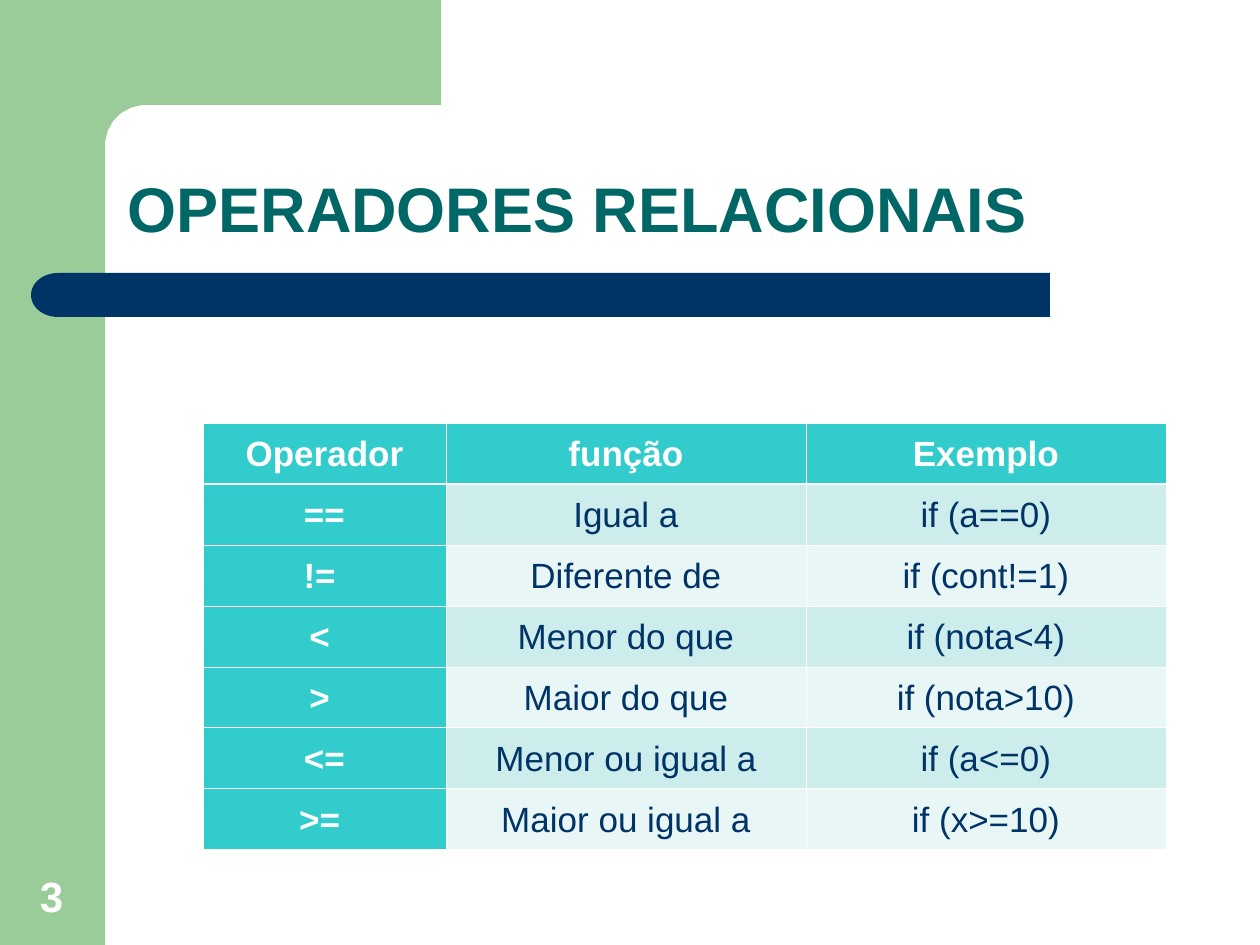
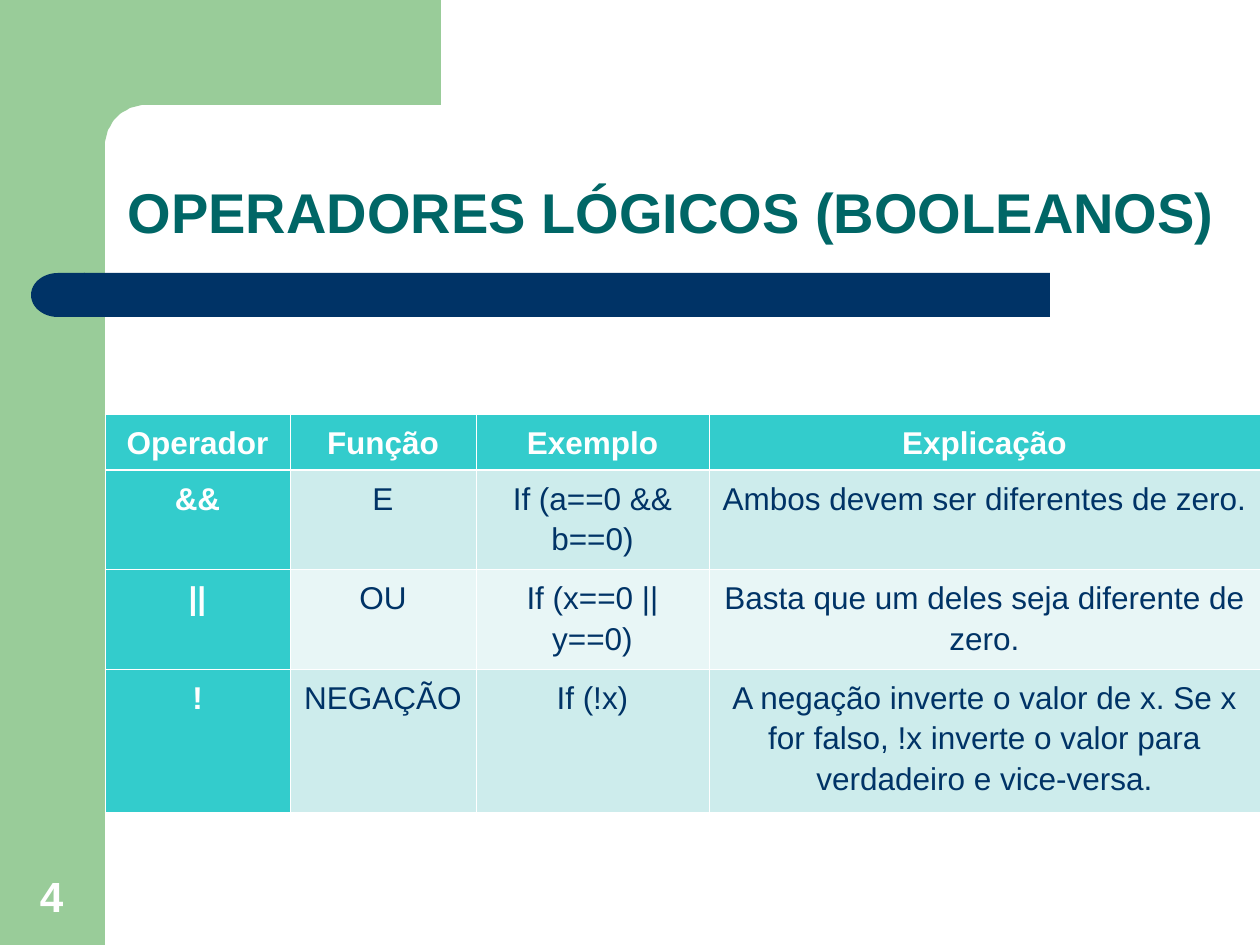
import math

import lxml.etree
import pptx
import pptx.dml.color
import pptx.enum.shapes
import pptx.enum.text
import pptx.oxml.ns
import pptx.util

PX = 914400 / 126
SHAPES = pptx.enum.shapes.MSO_SHAPE
ALIGN = pptx.enum.text.PP_ALIGN
ANCHOR = pptx.enum.text.MSO_ANCHOR

GREEN = pptx.dml.color.RGBColor(0x99, 0xCC, 0x99)
NAVY = pptx.dml.color.RGBColor(0x00, 0x33, 0x66)
TEAL = pptx.dml.color.RGBColor(0x00, 0x66, 0x66)
TURQUOISE = pptx.dml.color.RGBColor(0x33, 0xCC, 0xCC)
PALE_TURQUOISE = pptx.dml.color.RGBColor(0xCD, 0xEC, 0xEC)
FAINT_TURQUOISE = pptx.dml.color.RGBColor(0xE8, 0xF6, 0xF6)
WHITE = pptx.dml.color.RGBColor(0xFF, 0xFF, 0xFF)

FONT = "Arial"
THIN_BORDER, THICK_BORDER = 0.45, 1.47
SIDEBAR_BOX = (0, 0, 105, 945)
CORNER_BOX = (63, 0, 378, 161)
BAR_BOX = (31, 273, 1019, 44)
NUMBER_BOX = (11, 860, 81, 67)

RELATIONAL_ROWS = [
    ("Operador", "função", "Exemplo"),
    ("==", "Igual a", "if (a==0)"),
    ("!= ", "Diferente de", "if (cont!=1)"),
    ("< ", "Menor do que", "if (nota<4)"),
    ("> ", "Maior do que", "if (nota>10)"),
    ("<=", "Menor ou igual a", "if (a<=0)"),
    (">= ", "Maior ou igual a", "if (x>=10)"),
]
LOGICAL_ROWS = [
    ("Operador", "Função", "Exemplo", "Explicação"),
    ("&&", "E", "If (a==0 && b==0)", "Ambos devem ser diferentes de zero."),
    ("||", "OU", "If (x==0 || y==0)", "Basta que um deles seja diferente de zero."),
    ("!", "NEGAÇÃO", "If (!x)",
     "A negação inverte o valor de x. Se x for falso, "
     "!x inverte o valor para verdadeiro e vice-versa."),
]


def emu(px):
    return round(px * PX)


def paint(shape, color):
    shape.shadow.inherit = False
    shape.fill.solid()
    shape.fill.fore_color.rgb = color
    shape.line.fill.background()


def add_block(page, preset, box, color):
    shape = page.shapes.add_shape(preset, *map(emu, box))
    paint(shape, color)
    return shape


def write(frame, text, size, color, bold, align):
    frame.text = text
    para = frame.paragraphs[0]
    para.alignment = align
    for span in para.runs:
        span.font.name = FONT
        span.font.size = pptx.util.Pt(size)
        span.font.bold = bold
        span.font.color.rgb = color
    return para


def quarter_arc(left, top, radius, steps=16):
    angles = [math.pi / 2 * step / steps for step in range(steps + 1)]
    return [(left + radius * (1 - math.sin(angle)),
             top + radius * (1 - math.cos(angle))) for angle in angles]


def add_corner(page, box):
    left, top, width, height = box
    stem_width, band_height, radius = 42, 105, 41
    band_end = [(width, 0), (width, band_height)]
    inner_curve = quarter_arc(stem_width, band_height, radius)
    stem_end = [(stem_width, height), (0, height)]
    outline = page.shapes.build_freeform(0, 0, scale=PX)
    outline.add_line_segments(band_end + inner_curve + stem_end)
    paint(outline.convert_to_shape(emu(left), emu(top)), GREEN)


def add_bar(page, box):
    left, top, width, height = box
    cap_width, overlap = 54, 1
    body_offset = cap_width - overlap
    body = add_block(page, SHAPES.ROUNDED_RECTANGLE,
                     (left + body_offset, top, width - body_offset, height), NAVY)
    body.adjustments[0] = 0
    cap = add_block(page, SHAPES.FLOWCHART_DELAY,
                    (left, top, cap_width, height), NAVY)
    cap.element.spPr.get_or_add_xfrm().set("flipH", "1")


def add_number(page, box, number):
    frame = page.shapes.add_textbox(*map(emu, box)).text_frame
    frame.word_wrap = True
    frame.vertical_anchor = ANCHOR.BOTTOM
    write(frame, str(number), 24.1, WHITE, True, ALIGN.CENTER)


def place_title(page, box, text, size):
    title = page.shapes.title
    title.left, title.top, title.width, title.height = map(emu, box)
    frame = title.text_frame
    frame.auto_size = pptx.enum.text.MSO_AUTO_SIZE.NONE
    frame.vertical_anchor = ANCHOR.BOTTOM
    para = write(frame, text, size, TEAL, True, ALIGN.LEFT)
    para.line_spacing = 0.9


def add_borders(cell, row_index):
    widths = {
        "a:lnL": THIN_BORDER,
        "a:lnR": THIN_BORDER,
        "a:lnT": THICK_BORDER if row_index == 1 else THIN_BORDER,
        "a:lnB": THICK_BORDER if row_index == 0 else THIN_BORDER,
    }
    qualified = pptx.oxml.ns.qn
    properties = cell._tc.get_or_add_tcPr()
    for tag, width in widths.items():
        line = lxml.etree.SubElement(properties, qualified(tag),
                                     w=str(pptx.util.Pt(width)))
        fill = lxml.etree.SubElement(line, qualified("a:solidFill"))
        lxml.etree.SubElement(fill, qualified("a:srgbClr"), val=str(WHITE))


def cell_colors(row_index, column_index):
    if row_index == 0 or column_index == 0:
        return TURQUOISE, WHITE
    if row_index % 2 == 1:
        return PALE_TURQUOISE, NAVY
    return FAINT_TURQUOISE, NAVY


def fill_cell(cell, row_index, column_index, text, size, side_margin):
    background, text_color = cell_colors(row_index, column_index)
    add_borders(cell, row_index)
    cell.fill.solid()
    cell.fill.fore_color.rgb = background
    cell.margin_left = cell.margin_right = emu(side_margin)
    para = write(cell.text_frame, text, size, text_color,
                 text_color == WHITE, ALIGN.CENTER)
    para.line_spacing = 1.15
    para.space_after = pptx.util.Pt(10)
    return para


def add_operators(page, corner, column_widths, row_heights, rows,
                  size, side_margin, body_space_before):
    box = (*corner, sum(column_widths), sum(row_heights))
    table = page.shapes.add_table(
        len(row_heights), len(column_widths), *map(emu, box)).table
    table.horz_banding = False
    for column, width in zip(table.columns, column_widths):
        column.width = emu(width)
    for row, height in zip(table.rows, row_heights):
        row.height = emu(height)
    for row_index, texts in enumerate(rows):
        for column_index, text in enumerate(texts):
            para = fill_cell(table.cell(row_index, column_index),
                             row_index, column_index, text, size, side_margin)
            if row_index > 0:
                para.space_before = pptx.util.Pt(body_space_before)


def add_page(deck, number, title, title_size, title_width):
    page = deck.slides.add_slide(deck.slide_layouts[5])
    add_block(page, SHAPES.RECTANGLE, SIDEBAR_BOX, GREEN)
    add_corner(page, CORNER_BOX)
    add_bar(page, BAR_BOX)
    place_title(page, (115, 115, title_width, 137), title, title_size)
    add_number(page, NUMBER_BOX, number)
    return page


def add_relational_page(deck):
    page = add_page(deck, 3, "OPERADORES RELACIONAIS",
                    title_size=36, title_width=1072)
    add_operators(page, corner=(203, 423), column_widths=(243, 360, 360),
                  row_heights=[48] * len(RELATIONAL_ROWS), rows=RELATIONAL_ROWS,
                  size=20, side_margin=9, body_space_before=0)


def add_logical_page(deck):
    page = add_page(deck, 4, "OPERADORES LÓGICOS (BOOLEANOS)",
                    title_size=32, title_width=1135)
    add_operators(page, corner=(105, 414), column_widths=(185, 186, 233, 551),
                  row_heights=(44, 87, 87, 131), rows=LOGICAL_ROWS,
                  size=18, side_margin=10, body_space_before=12)


def main():
    deck = pptx.Presentation()
    deck.slide_width, deck.slide_height = emu(1260), emu(945)
    add_relational_page(deck)
    add_logical_page(deck)
    deck.save("out.pptx")


if __name__ == "__main__":
    main()
